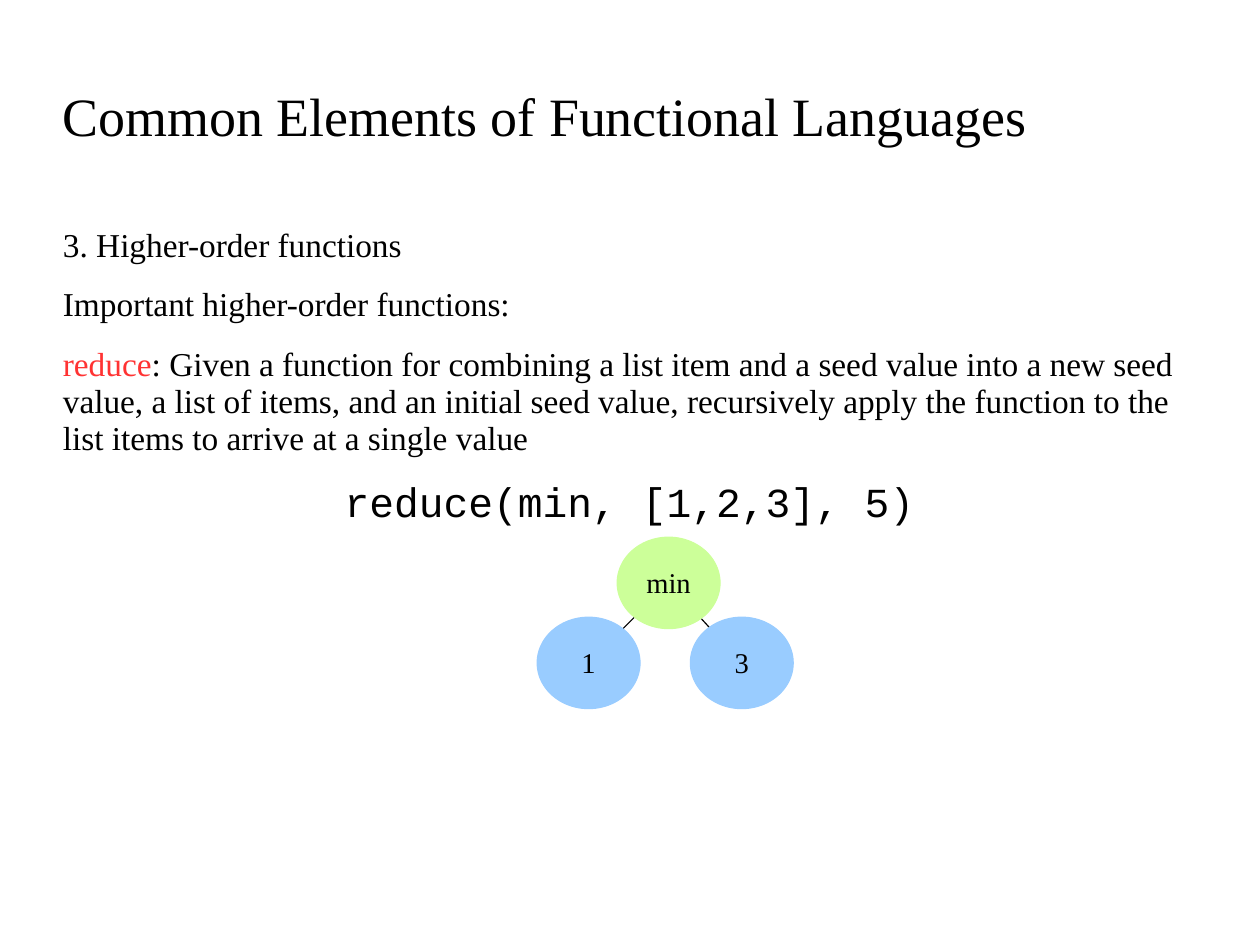
from lxml import etree
from pptx import Presentation
from pptx.dml.color import RGBColor
from pptx.enum.shapes import MSO_CONNECTOR, MSO_SHAPE
from pptx.enum.text import MSO_ANCHOR, PP_ALIGN
from pptx.oxml.ns import qn
from pptx.util import Cm, Inches, Pt

LEFT, CENTER = PP_ALIGN.LEFT, PP_ALIGN.CENTER
TOP, MIDDLE = MSO_ANCHOR.TOP, MSO_ANCHOR.MIDDLE
STRAIGHT, OVAL = MSO_CONNECTOR.STRAIGHT, MSO_SHAPE.OVAL

BLACK = RGBColor(0x00, 0x00, 0x00)
RED = RGBColor(0xFF, 0x33, 0x33)
GREEN = RGBColor(0xCC, 0xFF, 0x99)
BLUE = RGBColor(0x99, 0xCC, 0xFF)
SERIF, MONO = "Times New Roman", "Courier New"

TITLE = "Common Elements of Functional Languages"
# Each paragraph is a list of (text, colour) runs.
EXPLANATION = [
    [("3. Higher-order functions", BLACK)],
    [("Important higher-order functions:", BLACK)],
    [("reduce", RED),
     (": Given a function for combining a list item and a seed value into a "
      "new seed value, a list of items, and an initial seed value, recursively "
      "apply the function to the list items to arrive at a single value", BLACK)],
]
CALL = "reduce(min, [1,2,3], 5)"

NODE_WIDTH, NODE_HEIGHT = 0.9, 0.8
# label: (centre x, centre y, fill), from back to front
NODES = {
    "1": (5.15, 5.8, BLUE),
    "min": (5.85, 5.1, GREEN),
    "3": (6.49, 5.8, BLUE),
}
ROOT = "min"


def add_paragraph(frame, runs, size, font=SERIF, align=LEFT, spacing=0.93, after=0):
    """Fill the frame's empty first paragraph, or append a new one."""
    paragraph = frame.paragraphs[0]
    if paragraph.runs:
        paragraph = frame.add_paragraph()
    paragraph.alignment = align
    paragraph.line_spacing = spacing
    paragraph.space_before = Pt(0)
    paragraph.space_after = Pt(after)
    for text, color in runs:
        run = paragraph.add_run()
        run.text = text
        run.font.name = font
        run.font.size = Pt(size)
        run.font.color.rgb = color


def set_frame(frame, side, top, bottom, anchor, wrap):
    frame.margin_left = frame.margin_right = Inches(side)
    frame.margin_top, frame.margin_bottom = Inches(top), Inches(bottom)
    frame.vertical_anchor = anchor
    frame.word_wrap = wrap


def add_text_box(slide, box, top_margin, anchor):
    frame = slide.shapes.add_textbox(*map(Inches, box)).text_frame
    set_frame(frame, 0, top_margin, 0, anchor, True)
    return frame


def add_branch(slide, child):
    """Join the centres of a child and the root; the nodes cover the ends."""
    ends = NODES[child][:2] + NODES[ROOT][:2]
    branch = slide.shapes.add_connector(STRAIGHT, *map(Inches, ends))
    branch.line.color.rgb = BLACK
    branch.line.width = Pt(0.75)
    etree.SubElement(branch.element.spPr, qn("a:effectLst"))


def add_node(slide, label):
    x, y, fill = NODES[label]
    node = slide.shapes.add_shape(
        OVAL, Inches(x - NODE_WIDTH / 2), Inches(y - NODE_HEIGHT / 2),
        Inches(NODE_WIDTH), Inches(NODE_HEIGHT))
    node.shadow.inherit = False
    node.fill.solid()
    node.fill.fore_color.rgb = fill
    node.line.color.rgb = fill
    node.line.width = Pt(0.75)
    set_frame(node.text_frame, 0.1, 0.07, 0.05, MIDDLE, False)
    add_paragraph(node.text_frame, [(label, BLACK)], 18, align=CENTER)


def main():
    deck = Presentation()
    deck.slide_width, deck.slide_height = Cm(28), Cm(21)
    slide = deck.slides.add_slide(deck.slide_layouts[6])

    title = add_text_box(slide, (0.55, 0.63, 9.55, 0.79), 0.03, MIDDLE)
    add_paragraph(title, [(TITLE, BLACK)], 34)

    body = add_text_box(slide, (0.55, 1.97, 9.92, 5.83), 0.02, TOP)
    for runs in EXPLANATION:
        add_paragraph(body, runs, 21, after=14.1)
    add_paragraph(body, [(CALL, BLACK)], 26, font=MONO, align=CENTER, spacing=0.94)

    for label in NODES:
        if label != ROOT:
            add_branch(slide, label)
    for label in NODES:
        add_node(slide, label)

    deck.save("out.pptx")


if __name__ == "__main__":
    main()
